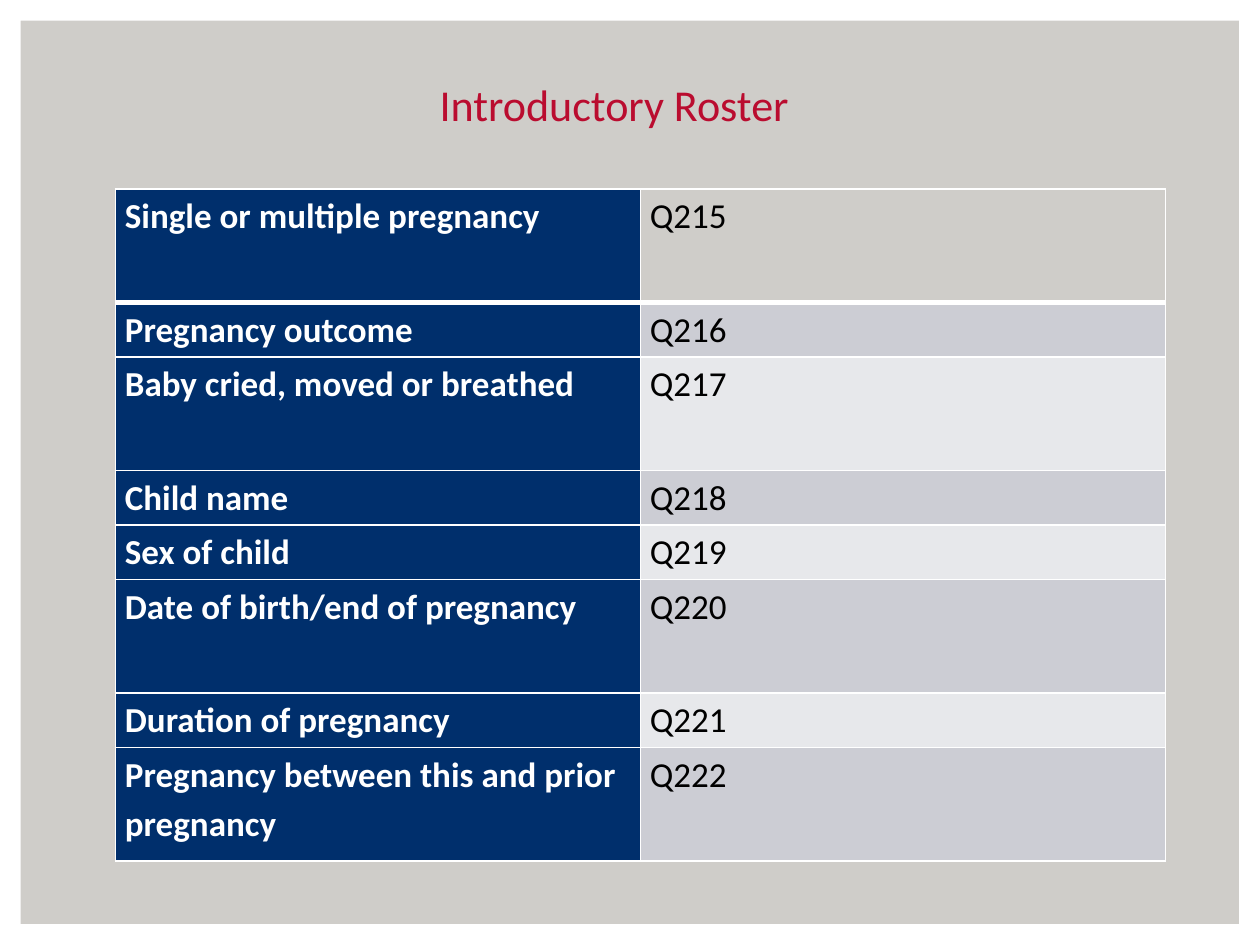
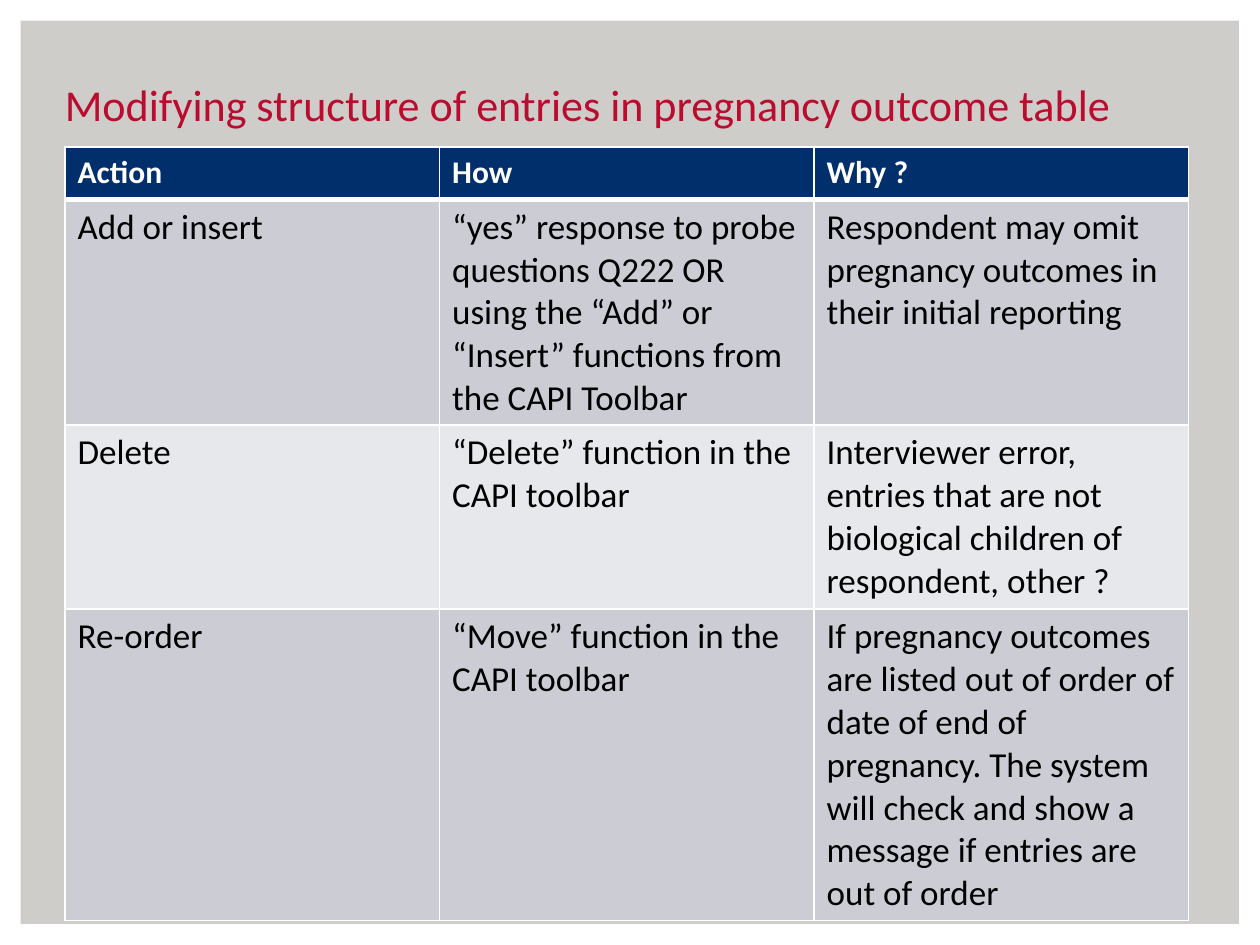
from lxml import etree
from pptx import Presentation
from pptx import util as u
from pptx.dml.color import RGBColor
from pptx.enum import shapes, text
from pptx.oxml import ns

NAVY, RED, WHITE, BLACK = "002F6C", "BA0C2F", "FFFFFF", "000000"
PAPER, BANDS = "CFCDC9", ("E7E8EB", "CCCDD4")
COLUMNS, ROWS = 120, 90

ROSTER = [
    ("Single or multiple pregnancy", "Q215"),
    ("Pregnancy outcome", "Q216"),
    ("Baby cried, moved or breathed", "Q217"),
    ("Child name", "Q218"),
    ("Sex of child", "Q219"),
    ("Date of birth/end of pregnancy", "Q220"),
    ("Duration of pregnancy", "Q221"),
    ("Pregnancy between this and prior pregnancy", "Q222"),
]
TALL, SHORT = 10.8, 5.2
ROSTER_HEIGHTS = [TALL, SHORT, TALL, SHORT, SHORT, TALL, SHORT, TALL]

ACTIONS = [
    ("Action", "How", "Why ?"),
    ("Add or insert",
     "“yes” response to probe questions Q222 OR using the “Add” or “Insert” "
     "functions from the CAPI Toolbar",
     "Respondent may omit pregnancy outcomes in their initial reporting"),
    ("Delete", "“Delete” function in the CAPI toolbar",
     "Interviewer error, entries that are not biological children of respondent, other ?"),
    ("Re-order", "“Move” function in the CAPI toolbar",
     "If pregnancy outcomes are listed out of order of date of end of pregnancy. "
     "The system will check and show a message if entries are out of order"),
]
ACTION_HEIGHTS = [5, 21.5, 17.5, 29.7]


def color(value):
    return RGBColor.from_string(value)


class Deck:
    """Holds the shared style and the current slide, and adds elements on a grid."""

    def __init__(self):
        self.presentation = Presentation()
        self.presentation.slide_width = u.Inches(10)
        self.presentation.slide_height = u.Inches(7.5)
        self.slide = None

    def across(self, columns):
        return round(self.presentation.slide_width * columns / COLUMNS)

    def down(self, rows):
        return round(self.presentation.slide_height * rows / ROWS)

    def place(self, left, top, width, height):
        return self.across(left), self.down(top), self.across(width), self.down(height)

    def add_slide(self):
        self.slide = self.presentation.slides.add_slide(self.presentation.slide_layouts[6])
        background = self.slide.background.fill
        background.solid()
        background.fore_color.rgb = color(PAPER)
        frame = self.slide.shapes.add_shape(
            shapes.MSO_SHAPE.FRAME, *self.place(0, 0, COLUMNS, ROWS))
        frame.adjustments[0] = 0.022
        frame.shadow.inherit = False
        frame.fill.solid()
        frame.fill.fore_color.rgb = color(WHITE)
        frame.line.fill.background()

    def add_run(self, paragraph, words, size, ink, bold=False):
        run = paragraph.add_run()
        run.text = words
        run.font.name = "Calibri"
        run.font.size = u.Pt(size)
        run.font.bold = bold
        run.font.color.rgb = color(ink)

    def add_title(self, words, left, top, width, height, align=text.PP_ALIGN.LEFT):
        shape = self.slide.shapes.add_textbox(*self.place(left, top, width, height))
        shape.text_frame.word_wrap = True
        shape.text_frame.vertical_anchor = text.MSO_ANCHOR.BOTTOM
        paragraph = shape.text_frame.paragraphs[0]
        paragraph.alignment = align
        self.add_run(paragraph, words, 25.2, RED)

    def add_borders(self, cell, row):
        thick = {0: "lnB", 1: "lnT"}.get(row)
        properties = cell._tc.get_or_add_tcPr()
        for index, side in enumerate(("lnL", "lnR", "lnT", "lnB")):
            line = etree.Element(ns.qn(f"a:{side}"), w=str(u.Pt(3 if side == thick else 1)))
            fill = etree.SubElement(line, ns.qn("a:solidFill"))
            etree.SubElement(fill, ns.qn("a:srgbClr"), val=WHITE)
            properties.insert(index, line)

    def add_table(self, entries, left, top, width, heights, style, insets=None, spacing=None):
        count = len(entries[0])
        table = self.slide.shapes.add_table(
            len(entries), count, *self.place(left, top, width, sum(heights))).table
        table.first_row = table.horz_banding = False
        for column in table.columns:
            column.width = self.across(width / count)
        for row, (entry, height) in enumerate(zip(entries, heights)):
            table.rows[row].height = self.down(height)
            for column, words in enumerate(entry):
                fill, ink, size, bold = style(row, column)
                cell = table.cell(row, column)
                if insets:
                    cell.margin_left = cell.margin_right = self.across(insets[0])
                    cell.margin_top = cell.margin_bottom = self.down(insets[1])
                if fill:
                    cell.fill.solid()
                    cell.fill.fore_color.rgb = color(fill)
                else:
                    cell.fill.background()
                self.add_borders(cell, row)
                paragraph = cell.text_frame.paragraphs[0]
                if spacing:
                    paragraph.line_spacing = spacing
                self.add_run(paragraph, words, size, ink, bold)


def roster_style(row, column):
    if column == 0:
        return NAVY, WHITE, 20, True
    return BANDS[row % 2] if row else None, BLACK, 20, False


def action_style(row, column):
    if row == 0:
        return NAVY, WHITE, 18, True
    return BANDS[row % 2], BLACK, 20, False


def main():
    deck = Deck()
    deck.add_slide()
    deck.add_title("Introductory Roster", 7.5, 6, 102, 7, text.PP_ALIGN.CENTER)
    deck.add_table(ROSTER, 11, 18, 100, ROSTER_HEIGHTS, roster_style,
                   insets=(0.9, 0), spacing=1.15)

    deck.add_slide()
    deck.add_title("Modifying structure of entries in pregnancy outcome table", 5, 1, 102, 12)
    deck.add_table(ACTIONS, 6.2, 14, 107, ACTION_HEIGHTS, action_style)
    deck.presentation.save("out.pptx")


if __name__ == "__main__":
    main()
